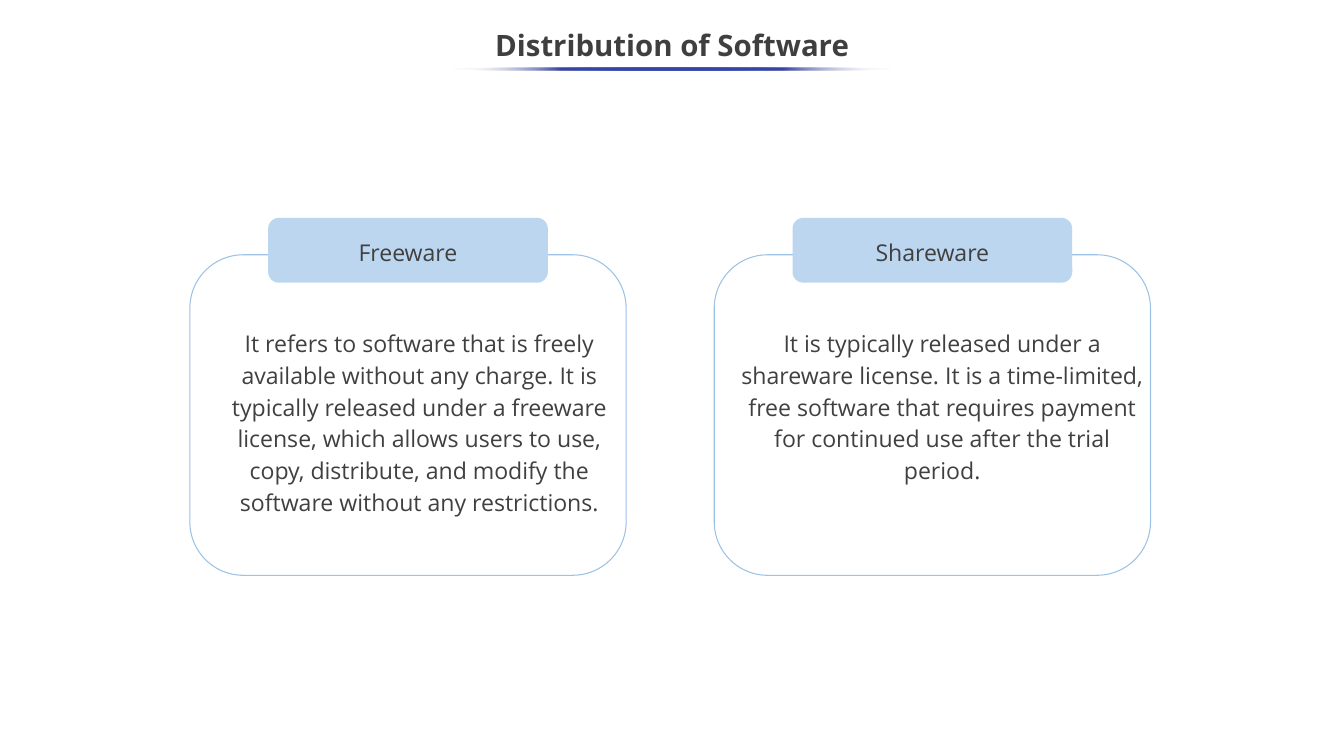
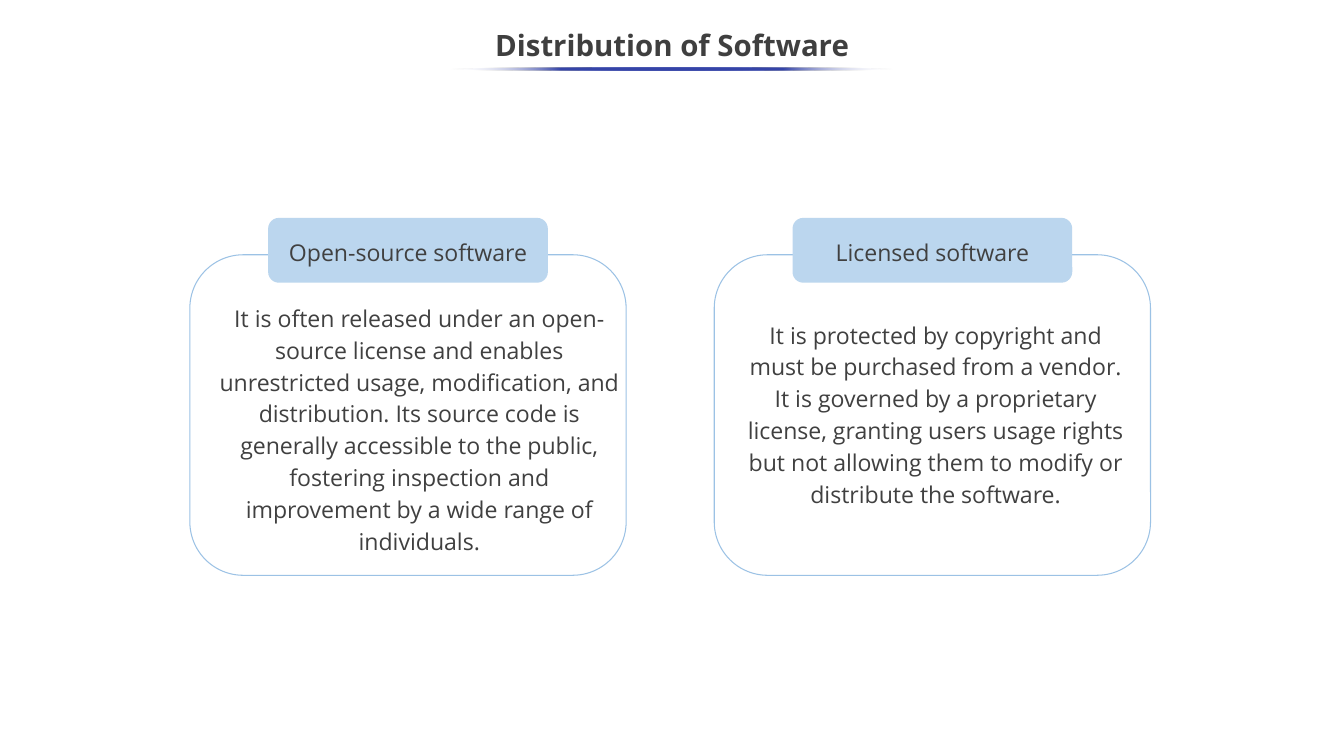
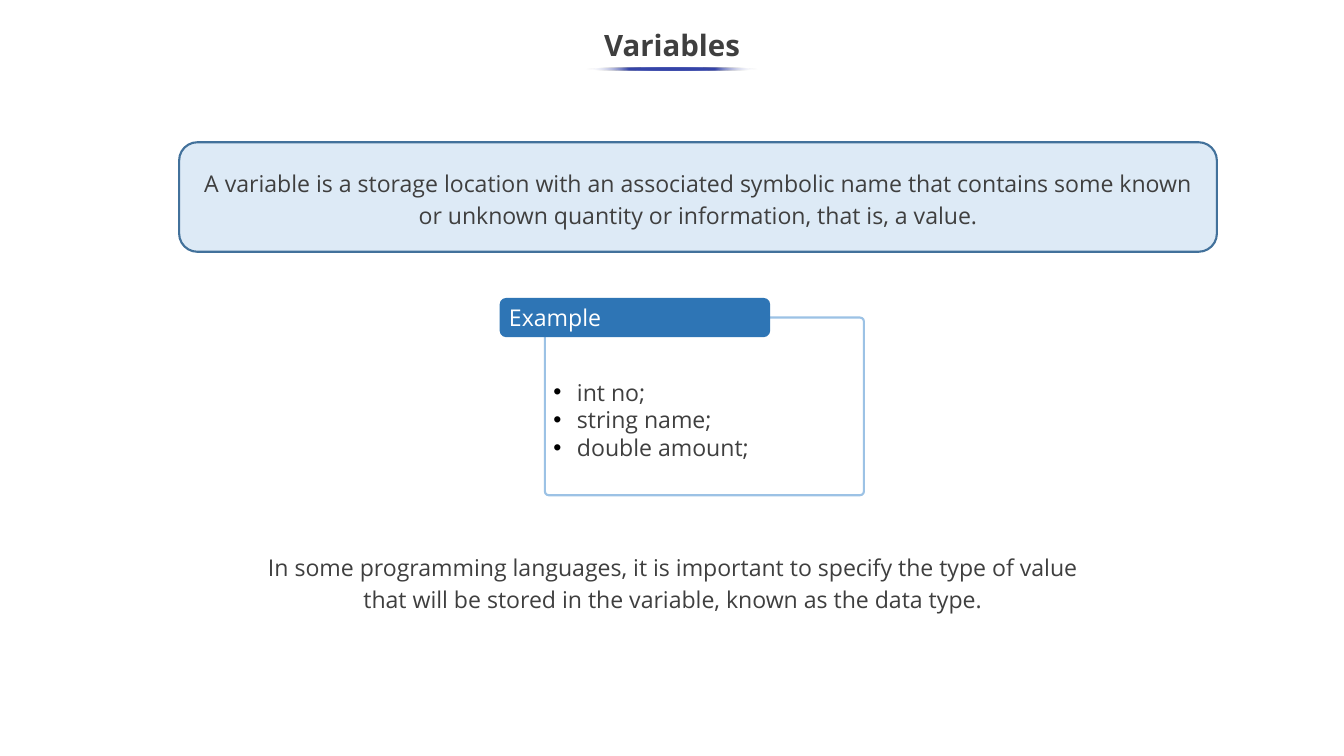
from lxml import etree
from pptx import Presentation
from pptx.dml.color import RGBColor
from pptx.enum.shapes import MSO_SHAPE
from pptx.enum.text import MSO_ANCHOR, MSO_AUTO_SIZE, PP_ALIGN
from pptx.oxml import parse_xml
from pptx.oxml.ns import nsdecls, qn
from pptx.util import Cm, Pt

ROUND, OVAL = MSO_SHAPE.ROUNDED_RECTANGLE, MSO_SHAPE.OVAL
TOP, MID = MSO_ANCHOR.TOP, MSO_ANCHOR.MIDDLE
LEFT, CENTER = PP_ALIGN.LEFT, PP_ALIGN.CENTER
FIXED = MSO_AUTO_SIZE.NONE

# Shared look
WIDTH, HEIGHT = 45.16, 25.4
FONT, SIZE, LOOSE = "Open Sans", 22, 1.15
DARK, GREY, WHITE, BLACK = "3F3F3F", "404040", "FFFFFF", "000000"
INDIGO, SKY, PALE = "3645A9", "9CC2E5", "BBD6EE"
MIST, STEEL, BLUE = "DDEAF6", "42719B", "2E75B5"

# Cards: left edges, then top, width and height
LEFTS = (6.38, 24)
CARD = (8.56, 14.66, 10.77)


def color(code):
    return RGBColor.from_string(code)


def place(box):
    return [Cm(n) for n in box]


def write(frame, lines, tint=GREY, size=SIZE, bold=False, align=CENTER,
          space=LOOSE, anchor=MID, dots=False):
    frame.word_wrap = True
    frame.auto_size = FIXED
    frame.vertical_anchor = anchor
    for i, line in enumerate(lines):
        para = frame.paragraphs[0] if i == 0 else frame.add_paragraph()
        if dots:
            bullet(para)
        para.alignment = align
        para.line_spacing = space
        run = para.add_run()
        run.text = line
        run.font.name = FONT
        run.font.size = Pt(size)
        run.font.bold = bold
        run.font.color.rgb = color(tint)


def bullet(para):
    props = para._p.get_or_add_pPr()
    props.set("marL", str(Cm(0.79)))
    props.set("indent", str(-Cm(0.79)))
    tint = etree.SubElement(props, qn("a:buClr"))
    etree.SubElement(tint, qn("a:srgbClr"), val=BLACK)
    etree.SubElement(props, qn("a:buFont"), typeface="Arial")
    etree.SubElement(props, qn("a:buChar"), char="•")


def shape(slide, box, kind=ROUND, fill=None, line=None, weight=1, curve=None):
    item = slide.shapes.add_shape(kind, *place(box))
    item.shadow.inherit = False
    if fill:
        item.fill.solid()
        item.fill.fore_color.rgb = color(fill)
    else:
        item.fill.background()
    if line:
        item.line.color.rgb = color(line)
        item.line.width = Pt(weight)
    else:
        item.line.fill.background()
    if curve is not None:
        item.adjustments[0] = curve
    return item


def label(slide, box, lines, **style):
    frame = slide.shapes.add_textbox(*place(box)).text_frame
    write(frame, lines, anchor=TOP, **style)
    return frame


def fade(item):
    """Fill with a band that fades out at both ends."""
    clear = '<a:alpha val="0"/>'
    stops = [(0, WHITE, clear), (25, INDIGO, ""), (50, INDIGO, ""),
             (75, INDIGO, ""), (100, WHITE, clear)]
    marks = "".join(
        f'<a:gs pos="{pos * 1000}"><a:srgbClr val="{code}">{alpha}</a:srgbClr></a:gs>'
        for pos, code, alpha in stops)
    props = item._element.spPr
    old = props.find(qn("a:noFill"))
    props.replace(old, parse_xml(
        f'<a:gradFill {nsdecls("a")}><a:gsLst>{marks}</a:gsLst>'
        '<a:lin ang="10800000" scaled="0"/></a:gradFill>'))


def start(deck, text, rule):
    """Add a slide with its title and the rule beneath it."""
    slide = deck.slides.add_slide(deck.slide_layouts[5])
    title = slide.shapes.title
    title.left, title.top, title.width, title.height = place((0, 0.64, WIDTH, 1.9))
    write(title.text_frame, [text], tint=DARK, size=28, bold=True, space=0.9)
    fade(shape(slide, ((WIDTH - rule) / 2, 2.26, rule, 0.1), OVAL))
    return slide


def card(slide, left, name, text, inset):
    """Outlined card with a tab on its top edge; inset is dx, dy, width."""
    top, wide, high = CARD
    shape(slide, (left, top, wide, high), line=SKY)
    tab_w, tab_h = 9.4, 2.18
    tab = shape(slide, (left + (wide - tab_w) / 2, top - 1.24, tab_w, tab_h), fill=PALE)
    write(tab.text_frame, [name])
    dx, dy, text_w = inset
    label(slide, (left + dx, top + dy, text_w, high - dy - 0.5), [text])


def pair(deck, cards):
    slide = start(deck, "Distribution of Software", 14.88)
    for left, parts in zip(LEFTS, cards):
        card(slide, left, *parts)


def sample(slide, left, top, lines):
    """Code list in a frame, with a heading tab over its corner."""
    frame = shape(slide, (left, top, 10.72, 5.97), line=SKY, weight=2, curve=0.022)
    write(frame.text_frame, lines, tint=DARK, align=LEFT, space=1, anchor=TOP, dots=True)
    frame.text_frame.margin_top = Cm(1.99)
    tab = shape(slide, (left - 1.52, top - 0.66, 9.09, 1.32), fill=BLUE)
    write(tab.text_frame, ["Example"], tint=WHITE, align=LEFT, space=1, anchor=TOP)


def variables(deck):
    slide = start(deck, "Variables", 5.72)
    panel = shape(slide, (6.02, 4.78, 34.87, 3.68), fill=MIST, line=STEEL, weight=2)
    write(panel.text_frame, [
        "A variable is a storage location with an associated symbolic name that contains some known",
        "or unknown quantity or information, that is, a value."], tint=DARK)
    sample(slide, 18.31, 10.67, ["int no;", "string name;", "double amount;"])
    note = label(slide, (3.58, 18.47, 38.05, 2.51), [
        "In some programming languages, it is important to specify the type of value",
        "that will be stored in the variable, known as the data type."], tint=DARK)
    note.margin_top = note.margin_bottom = 0


def main():
    deck = Presentation()
    deck.slide_width, deck.slide_height = Cm(WIDTH), Cm(HEIGHT)
    pair(deck, [
        ("Freeware",
         "It refers to software that is freely available without any charge. It is "
         "typically released under a freeware license, which allows users to use, copy, "
         "distribute, and modify the software without any restrictions.",
         (0.66, 2.24, 14.1)),
        ("Shareware",
         "It is typically released under a shareware license. It is a time-limited, free "
         "software that requires payment for continued use after the trial period.",
         (0.61, 2.24, 14.1)),
    ])
    pair(deck, [
        ("Open-source software",
         "It is often released under an open-source license and enables unrestricted "
         "usage, modification, and distribution. Its source code is generally accessible "
         "to the public, fostering inspection and improvement by a wide range of "
         "individuals.",
         (0.66, 1.4, 14.1)),
        ("Licensed software",
         "It is protected by copyright and must be purchased from a vendor. It is governed "
         "by a proprietary license, granting users usage rights but not allowing them to "
         "modify or distribute the software.",
         (0.76, 1.96, 13.36)),
    ])
    variables(deck)
    deck.save("out.pptx")


if __name__ == "__main__":
    main()
